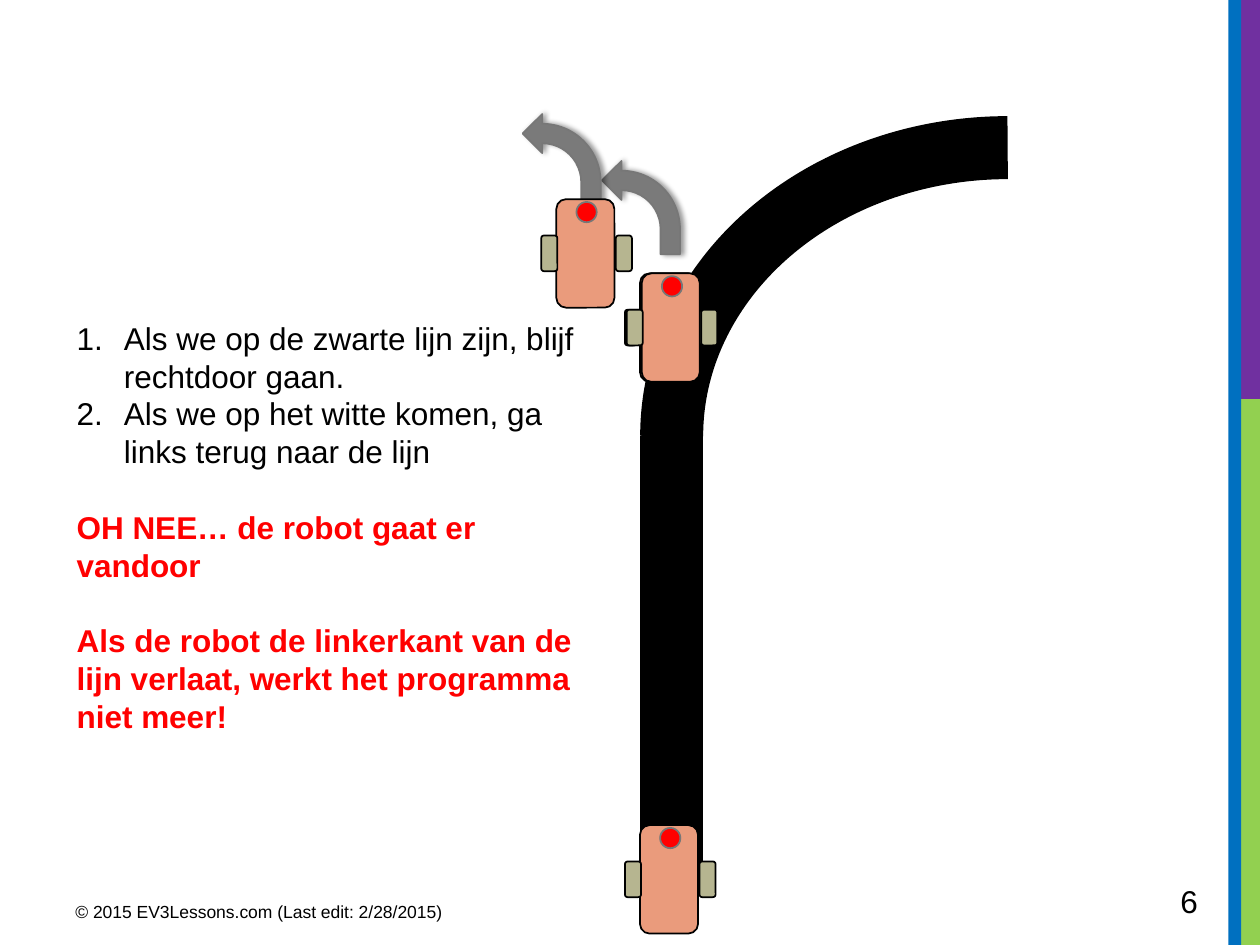
from lxml.etree import SubElement
from pptx import Presentation
from pptx.dml.color import RGBColor
from pptx.enum.shapes import MSO_CONNECTOR as CONNECTOR, MSO_SHAPE as SHAPE
from pptx.oxml.ns import qn
from pptx.util import Pt


def color(value):
    return RGBColor.from_string(value)


class Sheet:
    font_name = "Arial"
    black = "000000"
    red = "FF0000"
    body = "EA9B7C"
    wheel = "B6B590"
    gray = "777777"
    arrow_gray = "7A7A7A"
    track_width = 36
    line_height = 21.6
    list_indent = 27

    def __init__(self, deck):
        self.slide = deck.slides.add_slide(deck.slide_layouts[6])
        self.shapes = self.slide.shapes

    def stroke(self, line, value, width):
        line.color.rgb = color(value)
        line.width = Pt(width)

    def shape(self, kind, box, fill=None, outline=None, width=1, parent=None):
        item = (parent or self.shapes).add_shape(kind, *map(Pt, box))
        item.shadow.inherit = False
        if fill:
            item.fill.solid()
            item.fill.fore_color.rgb = color(fill)
        else:
            item.fill.background()
        if outline:
            self.stroke(item.line, outline, width)
        else:
            item.line.fill.background()
        return item

    def flip(self, item):
        item._element.spPr.find(qn("a:xfrm")).set("flipH", "1")

    def track(self, x, top, corner, bottom, reach):
        straight = self.shapes.add_connector(
            CONNECTOR.STRAIGHT, Pt(x), Pt(bottom), Pt(x), Pt(corner))
        self.stroke(straight.line, self.black, self.track_width)
        SubElement(straight._element.spPr, qn("a:effectLst"))
        bend = self.shape(SHAPE.ARC, (x, top, 2 * reach, 2 * (corner - top)),
                          outline=self.black, width=self.track_width)
        self.flip(bend)

    def robot(self, x, y, rotation=0):
        group = self.shapes.add_group_shape()
        parts = [
            (SHAPE.ROUNDED_RECTANGLE, -0.7, 0, 33.2, 62, self.body, self.black),
            (SHAPE.ROUNDED_RECTANGLE, 21.3, 0, 9.2, 20.4, self.wheel, self.black),
            (SHAPE.ROUNDED_RECTANGLE, -21.3, 0, 9.2, 20.4, self.wheel, self.black),
            (SHAPE.OVAL, 0, -23.6, 11.6, 11.6, self.red, self.gray),
        ]
        for kind, dx, dy, width, height, fill, outline in parts:
            box = (x + dx - width / 2, y + dy - height / 2, width, height)
            self.shape(kind, box, fill, outline, parent=group.shapes)
        group.rotation = rotation

    def turn_arrow(self, x, y):
        arrow = self.shape(SHAPE.BENT_ARROW, (x, y, 44.6, 53.3),
                           self.arrow_gray, self.gray)
        arrow.adjustments[3] = 0.75
        self.flip(arrow)
        effects = arrow._element.spPr.find(qn("a:effectLst"))
        shadow = SubElement(effects, qn("a:outerShdw"), blurRad=str(Pt(3.1)),
                            dist=str(Pt(1.8)), dir="0", rotWithShape="0")
        tint = SubElement(shadow, qn("a:srgbClr"), val=self.black)
        SubElement(tint, qn("a:alpha"), val="40000")

    def number(self, paragraph):
        props = paragraph._p.get_or_add_pPr()
        props.set("marL", str(Pt(self.list_indent)))
        props.set("indent", str(Pt(-self.list_indent)))
        SubElement(props, qn("a:buFont"), typeface="+mj-lt")
        SubElement(props, qn("a:buAutoNum"), type="arabicPeriod")

    def style(self, paragraph, size, value, bold=False):
        for run in paragraph.runs:
            run.font.name = self.font_name
            run.font.size = Pt(size)
            run.font.bold = bold
            run.font.color.rgb = color(value)

    def text(self, box, content, size):
        frame = self.shapes.add_textbox(*map(Pt, box)).text_frame
        frame.word_wrap = True
        frame.text = content
        for paragraph in frame.paragraphs:
            self.style(paragraph, size, self.black)
        return frame.paragraphs

    def explanation(self, box, steps, warnings):
        paragraphs = self.text(box, "\n".join(steps + warnings), 18)
        for index, paragraph in enumerate(paragraphs):
            paragraph.line_spacing = Pt(self.line_height)
            if index < len(steps):
                self.number(paragraph)
            else:
                paragraph.space_before = Pt(self.line_height)
                self.style(paragraph, 18, self.red, bold=True)


def main():
    deck = Presentation()
    deck.slide_width, deck.slide_height = Pt(720), Pt(540)
    sheet = Sheet(deck)

    for box, fill in [((708.5, 228, 11.5, 312), "92D050"),
                      ((705.5, 0, 14.5, 228), "7030A0"),
                      ((702, 0, 7.2, 540), "0070C0")]:
        sheet.shape(SHAPE.RECTANGLE, box, fill)

    sheet.track(x=383.8, top=84.4, corner=249.2, bottom=501, reach=192)
    sheet.robot(383, 502.5)
    sheet.robot(383, 187.2)
    sheet.turn_arrow(344, 92)
    sheet.robot(384, 187.2, 330)
    sheet.turn_arrow(298.7, 65.2)
    sheet.robot(335.2, 144.8, 285)

    sheet.explanation(
        (36.7, 178.6, 304, 247),
        ["Als we op de zwarte lijn zijn, blijf rechtdoor gaan.",
         "Als we op het witte komen, ga links terug naar de lijn"],
        ["OH NEE… de robot gaat er vandoor",
         "Als de robot de linkerkant van de lijn verlaat, "
         "werkt het programma niet meer!"])
    sheet.text((36, 511.2, 270, 22.3),
               "© 2015 EV3Lessons.com (Last edit: 2/28/2015)", 10)
    sheet.text((667.4, 500.4, 52.6, 28.8), "6", 18)

    deck.save("out.pptx")


if __name__ == "__main__":
    main()
